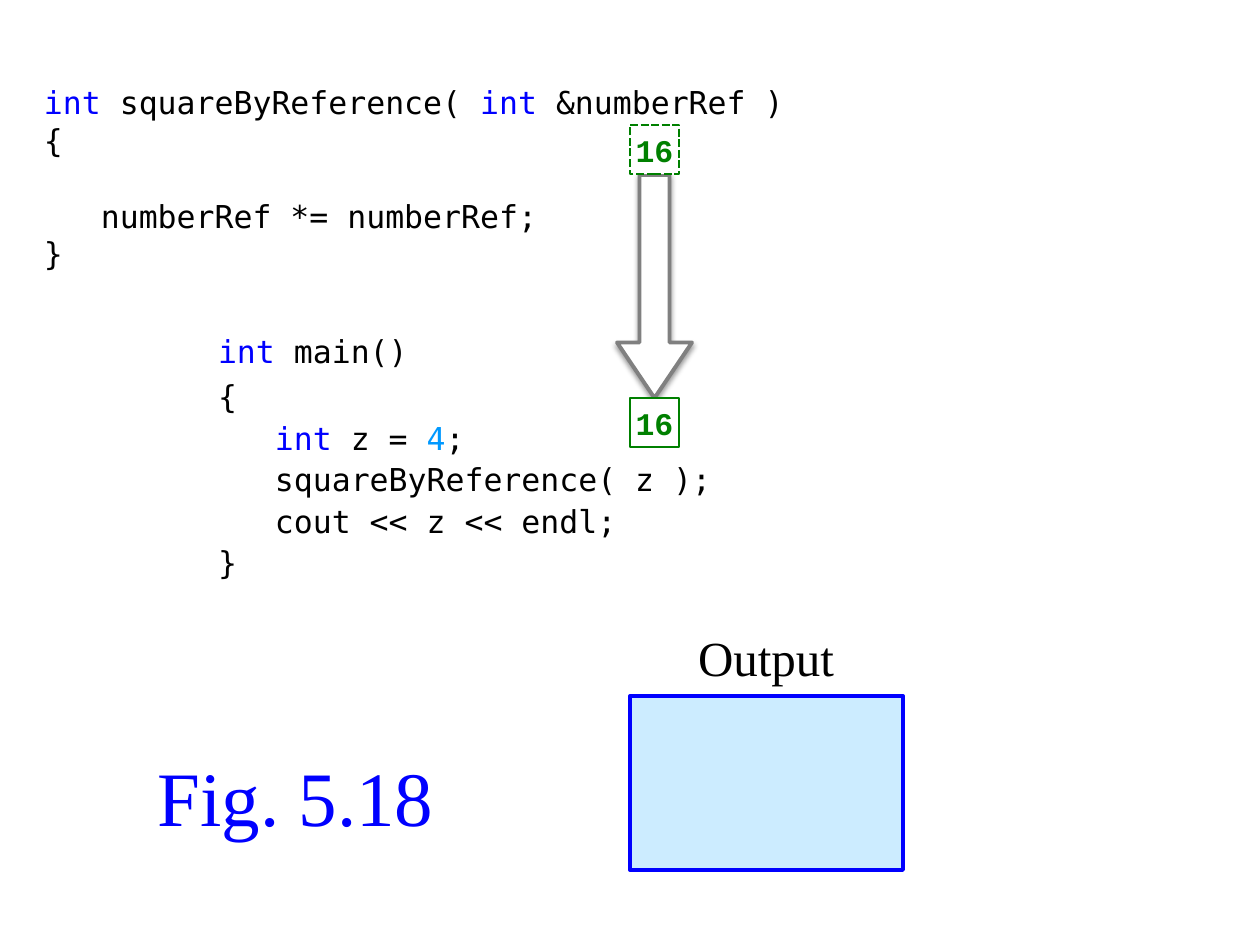
from lxml import etree
from pptx import Presentation
from pptx.dml.color import RGBColor
from pptx.enum.dml import MSO_LINE
from pptx.enum.shapes import MSO_SHAPE as Preset
from pptx.enum.text import MSO_ANCHOR as Anchor, PP_ALIGN as Align
from pptx.oxml.ns import qn
from pptx.util import Pt

PX = 914400 / 126
MONO, SERIF = "DejaVu Sans Mono", "Times New Roman"
BLACK, BLUE, SKY, GREEN = "000000", "0000FF", "0099FF", "008000"
color = RGBColor.from_string

deck = Presentation()
deck.slide_width, deck.slide_height = round(1260 * PX), round(945 * PX)
slide = deck.slides.add_slide(deck.slide_layouts[6])


def add_box(preset, place, fill, line, width):
    box = slide.shapes.add_shape(preset, *[round(v * PX) for v in place])
    box.shadow.inherit = False
    box.fill.solid()
    box.fill.fore_color.rgb = color(fill)
    box.line.color.rgb = color(line)
    box.line.width = Pt(width)
    return box


def write(frame, lines, font, size, align=Align.LEFT, bold=False):
    """Each line is (space before, [(text, colour), ...])."""
    for i, (gap, parts) in enumerate(lines):
        para = frame.paragraphs[0] if i == 0 else frame.add_paragraph()
        para.alignment = align
        para.space_before = Pt(gap)
        for text, tint in parts:
            run = para.add_run()
            run.text = text
            run.font.name, run.font.size, run.font.bold = font, Pt(size), bold
            run.font.color.rgb = color(tint)


# Arrow from the reference to the variable, with a soft shadow
arrow = add_box(Preset.RIGHT_ARROW, (543, 249, 223, 75), "FFFFFF", "808080", 2.25)
arrow.rotation = 90
arrow.adjustments[0], arrow.adjustments[1] = 0.4, 0.74
effects = arrow._element.spPr.find(qn("a:effectLst"))
shadow = etree.SubElement(effects, qn("a:outerShdw"), blurRad=str(Pt(3.1)),
                          dist=str(Pt(1.6)), dir="5400000", rotWithShape="0")
shade = etree.SubElement(shadow, qn("a:srgbClr"), val=BLACK)
etree.SubElement(shade, qn("a:alpha"), val="38000")

# Output window
add_box(Preset.RECTANGLE, (630, 696, 273, 174), "CCECFF", BLUE, 2.25)

# Code listings and captions
main_code = [
    (0, [("int", BLUE), (" main()", BLACK)]),
    (4.2, [("{", BLACK)]),
    (2.1, [("   int", BLUE), (" z = ", BLACK), ("4", SKY), (";", BLACK)]),
    (2.1, [("   squareByReference( z );", BLACK)]),
    (2.1, [("   cout << z << endl;", BLACK)]),
    (2.1, [("}", BLACK)]),
]
function_code = [
    (0, [("int ", BLUE), ("squareByReference( ", BLACK), ("int", BLUE),
         (" &numberRef )", BLACK)]),
    (0, [("{", BLACK)]),
    (21.6, [("   numberRef *= numberRef;", BLACK)]),
    (0, [("}", BLACK)]),
]
figure_title = [(0, [("Fig. 5.18", BLUE)])]
output_label = [(0, [("Output", BLACK)])]

for place, lines, font, size, align, anchor in [
    ((134, 746, 323, 100), figure_title, SERIF, 44, Align.CENTER, Anchor.MIDDLE),
    ((208, 326, 520, 273), main_code, MONO, 18, Align.LEFT, Anchor.TOP),
    ((34, 77, 769, 174), function_code, MONO, 18, Align.LEFT, Anchor.TOP),
    ((679, 621, 174, 74), output_label, SERIF, 28, Align.CENTER, Anchor.TOP),
]:
    frame = slide.shapes.add_textbox(*[round(v * PX) for v in place]).text_frame
    frame.word_wrap = True
    frame.vertical_anchor = anchor
    frame.margin_left = frame.margin_right = round(10 * PX)
    write(frame, lines, font, size, align)

# Values: dashed for the reference, solid for z
for top, dash in [(125, MSO_LINE.SQUARE_DOT), (398, MSO_LINE.SOLID)]:
    value = add_box(Preset.RECTANGLE, (630, top, 49, 49), "FFFFFF", GREEN, 1.5)
    value.line.dash_style = dash
    frame = value.text_frame
    frame.word_wrap = False
    frame.vertical_anchor = Anchor.MIDDLE
    frame.margin_top = frame.margin_bottom = 0
    write(frame, [(0, [("16", GREEN)])], "Courier New", 18, Align.CENTER, bold=True)

deck.save("out.pptx")
